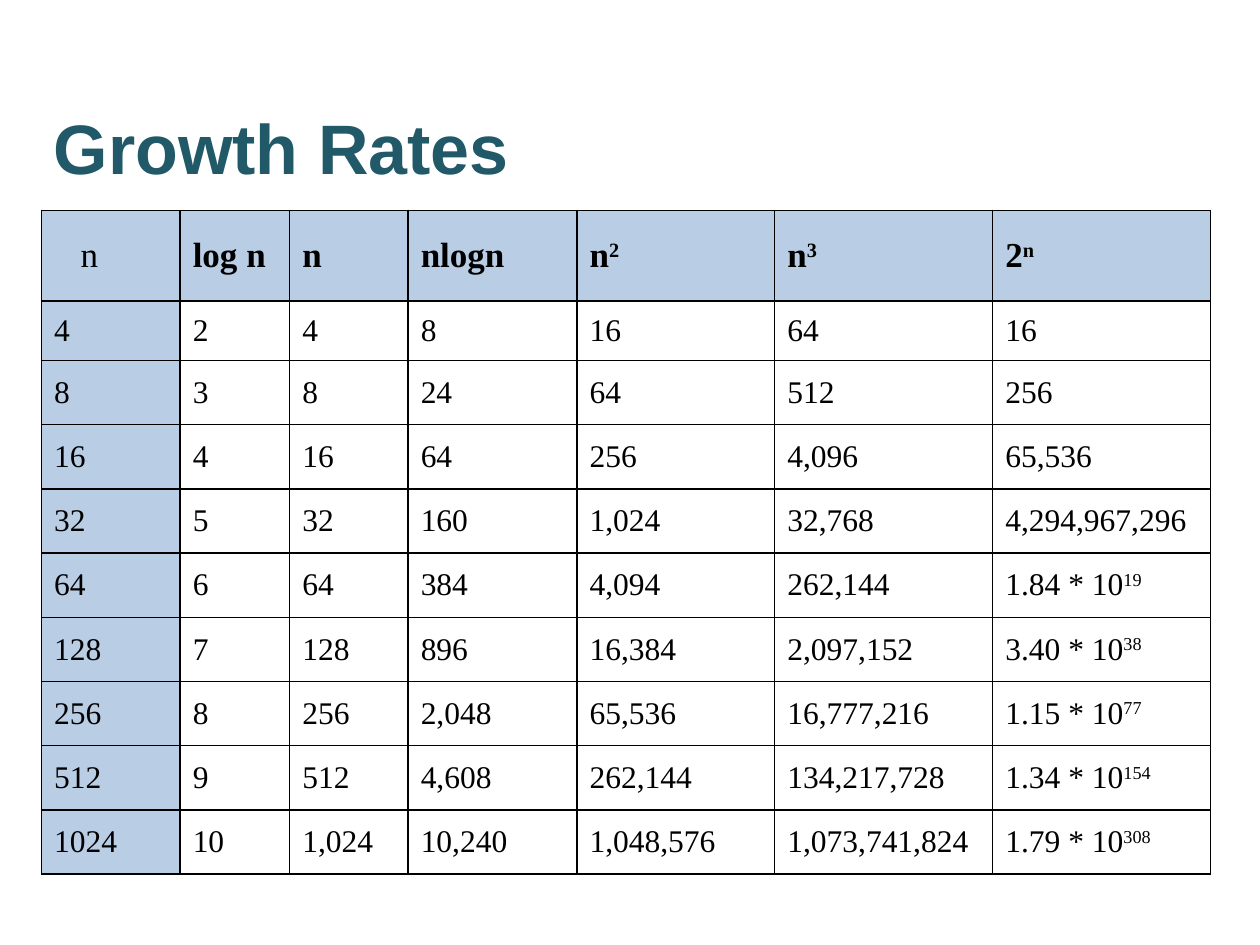
from dataclasses import dataclass

from lxml.etree import SubElement
from pptx import Presentation
from pptx.dml.color import RGBColor
from pptx.enum.text import MSO_VERTICAL_ANCHOR as Anchor
from pptx.oxml.ns import qn
from pptx.util import Inches, Pt

SLIDE_WIDTH, SLIDE_HEIGHT = 10, 7.5
LEFT = 0.33
HEADING_HEIGHT, FIRST_HEIGHT, ROW_HEIGHT = 0.72, 0.47, 0.51
TEAL, BLACK, PALE_BLUE = "215968", "000000", "B9CDE5"
SERIF, SANS = "Times New Roman", "Arial"


@dataclass(frozen=True)
class Growth:
    heading: str
    width: float
    values: tuple[str, ...]


GROWTHS = (
    Growth("n", 1.1, ("4", "8", "16", "32", "64", "128", "256", "512", "1024")),
    Growth("log n", 0.87, ("2", "3", "4", "5", "6", "7", "8", "9", "10")),
    Growth("n", 0.94, ("4", "8", "16", "32", "64", "128", "256", "512", "1,024")),
    Growth("nlogn", 1.34, ("8", "24", "64", "160", "384", "896", "2,048",
                           "4,608", "10,240")),
    Growth("n^2", 1.57, ("16", "64", "256", "1,024", "4,094", "16,384", "65,536",
                         "262,144", "1,048,576")),
    Growth("n^3", 1.73, ("64", "512", "4,096", "32,768", "262,144", "2,097,152",
                         "16,777,216", "134,217,728", "1,073,741,824")),
    Growth("2^n", 1.73, ("16", "256", "65,536", "4,294,967,296", "1.84 * 10^19",
                         "3.40 * 10^38", "1.15 * 10^77", "1.34 * 10^154",
                         "1.79 * 10^308")),
)


def rgb(code: str) -> RGBColor:
    return RGBColor.from_string(code)


def write(frame, text: str, *, size: float, font: str = SERIF,
          color: str = BLACK, bold: bool = False) -> None:
    frame.word_wrap = True
    base, _, exponent = text.partition("^")
    for part, raised in ((base, False), (exponent, True)):
        if not part:
            continue
        run = frame.paragraphs[0].add_run()
        run.text = part
        run.font.size = Pt(size)
        run.font.name = font
        run.font.bold = bold
        run.font.color.rgb = rgb(color)
        if raised:
            run.font._element.set("baseline", "30000")


def outline(cell, color: str, width: float) -> None:
    properties = cell._tc.get_or_add_tcPr()
    for side in ("L", "R", "T", "B"):
        border = SubElement(properties, qn(f"a:ln{side}"), w=str(Pt(width)))
        solid = SubElement(border, qn("a:solidFill"))
        SubElement(solid, qn("a:srgbClr"), val=color)


def draw_entry(cell, text: str, row: int, column: int) -> None:
    is_heading = row == 0
    cell.vertical_anchor = Anchor.MIDDLE
    if is_heading and column == 0:
        cell.margin_left = Inches(0.31)
    write(cell.text_frame, text, size=20 if is_heading else 18,
          bold=is_heading and column > 0)
    outline(cell, BLACK, 1)
    if is_heading or column == 0:
        cell.fill.solid()
        cell.fill.fore_color.rgb = rgb(PALE_BLUE)
    else:
        cell.fill.background()


def draw_title(slide, text: str) -> None:
    title = slide.shapes.add_textbox(
        Inches(LEFT), Inches(0.58), Inches(7.83), Inches(1.17))
    title.text_frame.vertical_anchor = Anchor.MIDDLE
    write(title.text_frame, text, size=40, font=SANS, color=TEAL, bold=True)


def draw_growths(slide, growths: tuple[Growth, ...]) -> None:
    count = len(growths[0].values)
    heights = [HEADING_HEIGHT, FIRST_HEIGHT] + [ROW_HEIGHT] * (count - 1)
    table = slide.shapes.add_table(
        len(heights), len(growths), Inches(LEFT), Inches(1.67),
        Inches(sum(growth.width for growth in growths)),
        Inches(sum(heights))).table
    table.first_row = table.horz_banding = False
    for row, height in enumerate(heights):
        table.rows[row].height = Inches(height)
    for column, growth in enumerate(growths):
        table.columns[column].width = Inches(growth.width)
        for row, text in enumerate((growth.heading, *growth.values)):
            draw_entry(table.cell(row, column), text, row, column)


deck = Presentation()
deck.slide_width, deck.slide_height = Inches(SLIDE_WIDTH), Inches(SLIDE_HEIGHT)
growth_slide = deck.slides.add_slide(deck.slide_layouts[6])
draw_title(growth_slide, "Growth Rates")
draw_growths(growth_slide, GROWTHS)
deck.save("out.pptx")
